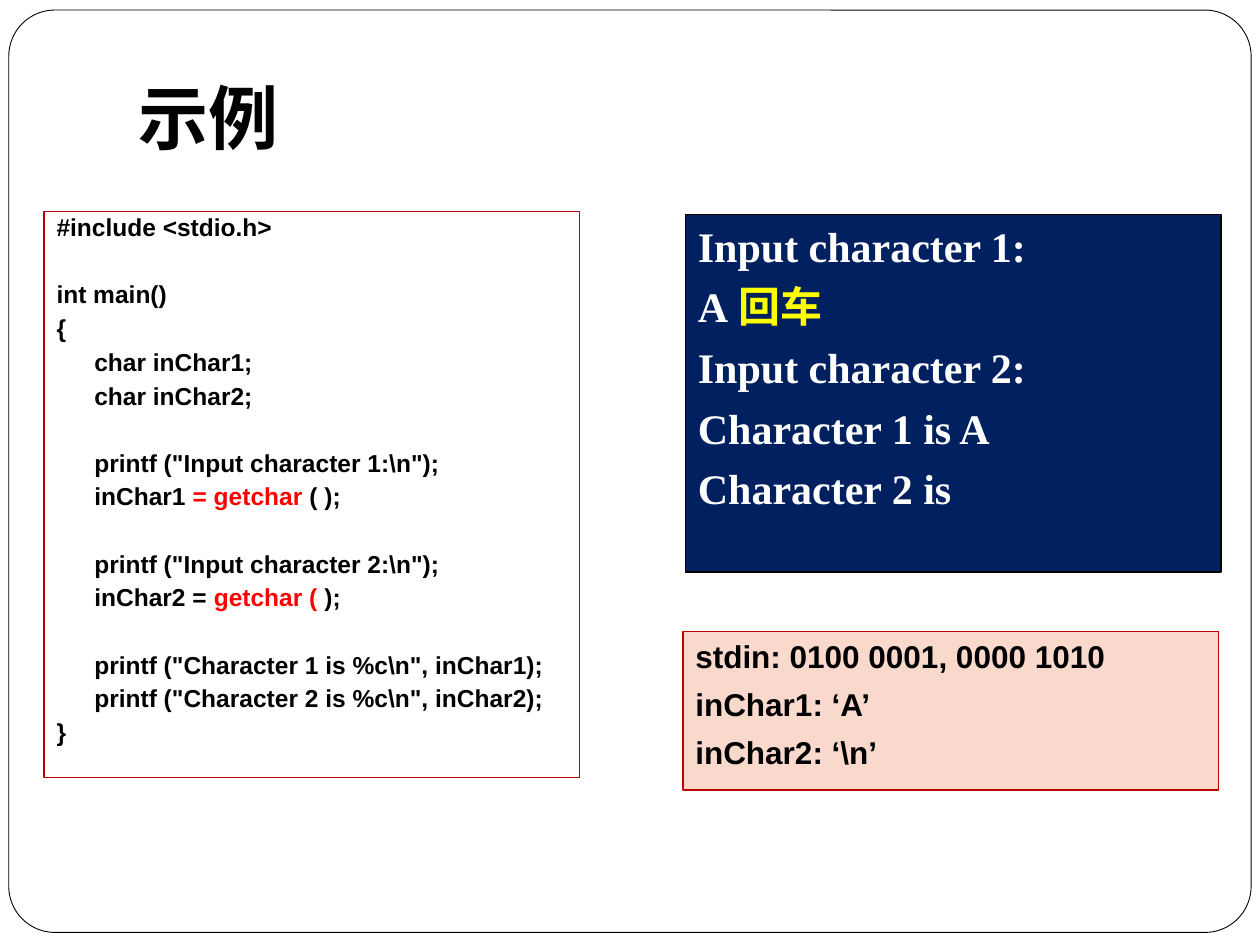
from dataclasses import dataclass

from pptx import Presentation
from pptx.dml.color import RGBColor
from pptx.enum.shapes import MSO_SHAPE
from pptx.enum.text import MSO_ANCHOR, MSO_AUTO_SIZE, PP_ALIGN
from pptx.util import Inches, Pt


@dataclass(frozen=True)
class Theme:
    black: str = "000000"
    white: str = "FFFFFF"
    navy: str = "002060"
    peach: str = "FAD9CD"
    edge: str = "C00000"
    red: str = "FF0000"
    yellow: str = "FFFF00"
    sans: str = "Arial"
    serif: str = "Times New Roman"
    title: float = 40
    code: float = 14
    screen: float = 24
    notes: float = 18
    space: float = 5.8
    gap: float = 25


THEME = Theme()

CODE = [
    ["#include <stdio.h>"],
    ["int main()"],
    ["{"],
    ["\tchar inChar1;"],
    ["\tchar inChar2;"],
    ['\tprintf ("Input character 1:\\n");'],
    ["\tinChar1 ", ("= getchar ", THEME.red), "( );"],
    ['\tprintf ("Input character 2:\\n");'],
    ["\tinChar2 = ", ("getchar (", THEME.red), " );"],
    ['\tprintf ("Character 1 is %c\\n", inChar1);'],
    ['\tprintf ("Character 2 is %c\\n", inChar2);'],
    ["}"],
]
BREAKS = {1, 5, 7, 9}

SCREEN = [
    ["Input character 1:"],
    ["A", ("回车", THEME.yellow)],
    ["Input character 2:"],
    ["Character 1 is A"],
    ["Character 2 is"],
]

NOTES = [
    ["stdin: 0100 0001, 0000 1010"],
    ["inChar1: ‘A’"],
    ["inChar2: ‘\\n’"],
]


def style(run, font, size, color):
    run.font.name = font
    run.font.size = Pt(size)
    run.font.bold = True
    run.font.color.rgb = RGBColor.from_string(color)


def add_panel(slide, box, kind, fill, line, width):
    shape = slide.shapes.add_shape(kind, *map(Inches, box))
    shape.shadow.inherit = False
    if fill:
        shape.fill.solid()
        shape.fill.fore_color.rgb = RGBColor.from_string(fill)
    else:
        shape.fill.background()
    shape.line.color.rgb = RGBColor.from_string(line)
    shape.line.width = Pt(width)
    return shape


def write_lines(frame, lines, font, size, color, breaks=()):
    frame.word_wrap = True
    frame.vertical_anchor = MSO_ANCHOR.TOP
    for row, parts in enumerate(lines):
        para = frame.paragraphs[0] if row == 0 else frame.add_paragraph()
        para.alignment = PP_ALIGN.LEFT
        para.space_before = Pt(THEME.gap if row in breaks else THEME.space)
        for part in parts:
            text, tint = (part, color) if isinstance(part, str) else part
            run = para.add_run()
            run.text = text
            style(run, font, size, tint)


def hang_lines(frame):
    for para in frame.paragraphs:
        props = para._p.get_or_add_pPr()
        props.set("marL", str(Inches(0.3)))
        props.set("indent", str(Inches(-0.3)))


def add_frame(slide, box):
    shape = add_panel(slide, box, MSO_SHAPE.ROUNDED_RECTANGLE,
                      THEME.white, THEME.black, 0.5)
    shape.adjustments[0] = 0.05
    slide.shapes._spTree.insert(2, shape._element)


def add_title(slide, box):
    title = slide.shapes.title
    title.left, title.top, title.width, title.height = map(Inches, box)
    frame = title.text_frame
    frame.text = "示例"
    frame.auto_size = MSO_AUTO_SIZE.NONE
    frame.vertical_anchor = MSO_ANCHOR.MIDDLE
    para = frame.paragraphs[0]
    para.alignment = PP_ALIGN.LEFT
    style(para.runs[0], THEME.sans, THEME.title, THEME.black)


def add_code(slide, box):
    frame = add_panel(slide, box, MSO_SHAPE.RECTANGLE,
                      None, THEME.edge, 0.75).text_frame
    write_lines(frame, CODE, THEME.sans, THEME.code, THEME.black, BREAKS)
    hang_lines(frame)
    for para in frame.paragraphs:
        para.line_spacing = 0.8


def add_screen(slide, box):
    frame = add_panel(slide, box, MSO_SHAPE.RECTANGLE,
                      THEME.navy, THEME.black, 0.75).text_frame
    write_lines(frame, SCREEN, THEME.serif, THEME.screen, THEME.white)


def add_notes(slide, box):
    frame = add_panel(slide, box, MSO_SHAPE.RECTANGLE,
                      THEME.peach, THEME.edge, 0.75).text_frame
    write_lines(frame, NOTES, THEME.sans, THEME.notes, THEME.black)
    hang_lines(frame)


def main():
    deck = Presentation()
    deck.slide_width, deck.slide_height = Inches(10), Inches(7.5)
    slide = deck.slides.add_slide(deck.slide_layouts[5])
    add_frame(slide, (0.07, 0.08, 9.86, 7.32))
    add_title(slide, (1, 0.3, 8.5, 1.25))
    add_code(slide, (0.35, 1.68, 4.25, 4.49))
    add_screen(slide, (5.44, 1.7, 4.25, 2.84))
    add_notes(slide, (5.42, 5.01, 4.25, 1.26))
    deck.save("out.pptx")


if __name__ == "__main__":
    main()
